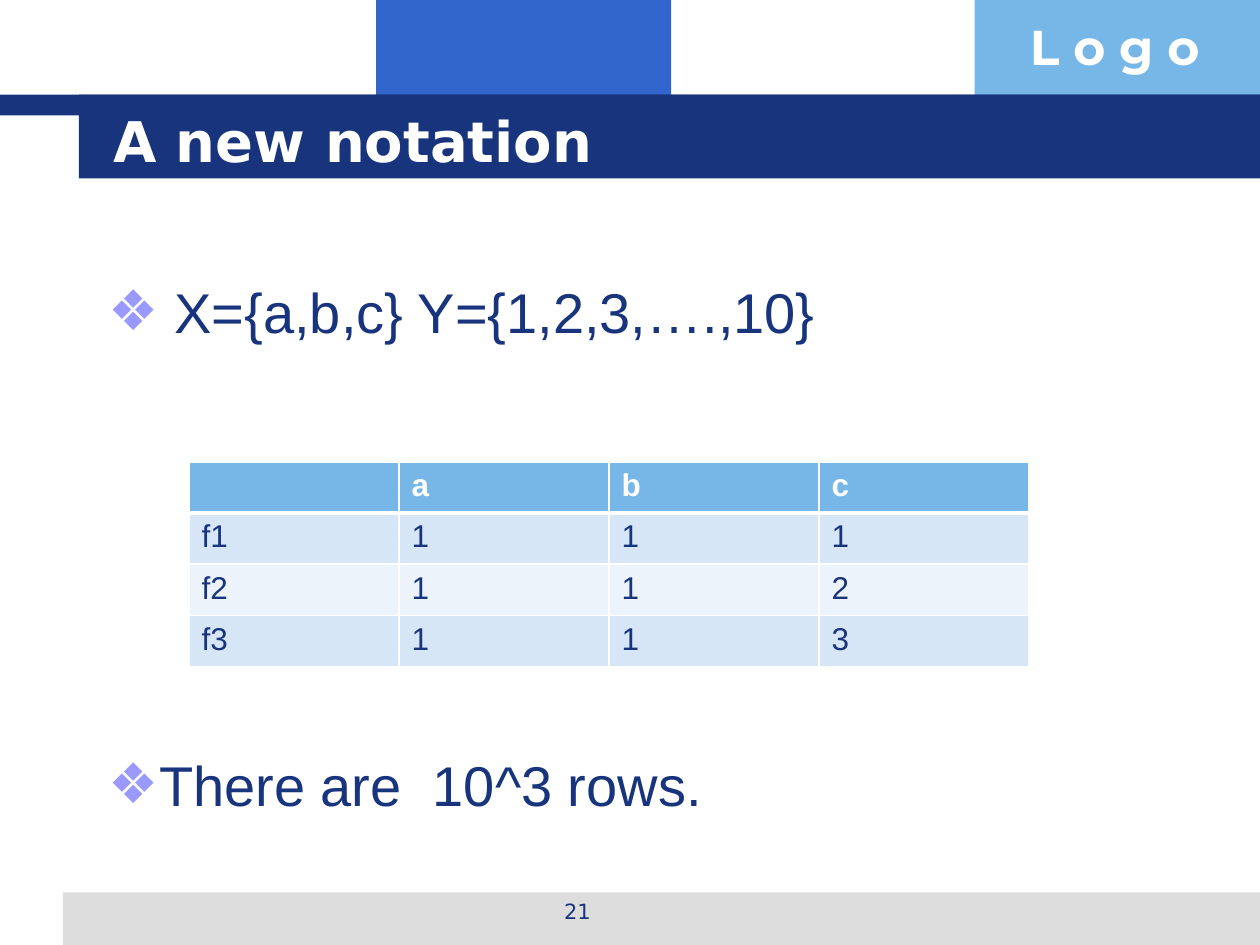
from lxml.etree import SubElement
from pptx import Presentation
from pptx.dml.color import RGBColor
from pptx.enum.shapes import MSO_SHAPE
from pptx.enum.text import MSO_ANCHOR, MSO_AUTO_SIZE, PP_ALIGN
from pptx.oxml.ns import qn
from pptx.util import Pt

NAVY = RGBColor(0x17, 0x34, 0x7D)
BLUE = RGBColor(0x33, 0x66, 0xCC)
SKY = RGBColor(0x77, 0xB7, 0xE7)
GRAY = RGBColor(0xDD, 0xDD, 0xDD)
WHITE = RGBColor(0xFF, 0xFF, 0xFF)
LILAC = RGBColor(0x99, 0x99, 0xFF)
PALE = RGBColor(0xD6, 0xE6, 0xF6)
MIST = RGBColor(0xEC, 0xF3, 0xFA)


def write(para, text, size, color, face, bold=False):
    run = para.add_run()
    run.text = text
    run.font.size = Pt(size)
    run.font.name = face
    run.font.bold = bold
    run.font.color.rgb = color


def edge(cell, side, width):
    line = SubElement(cell._tc.get_or_add_tcPr(), qn(f"a:ln{side}"), w=str(Pt(width)))
    fill = SubElement(line, qn("a:solidFill"))
    SubElement(fill, qn("a:srgbClr"), val=str(WHITE))


deck = Presentation()
deck.slide_width, deck.slide_height = Pt(720), Pt(540)
slide = deck.slides.add_slide(deck.slide_layouts[1])
shapes = slide.shapes
title, body = shapes.title, slide.placeholders[1]

bars = [
    (215, 0, 168.5, 66, BLUE),
    (557, 0, 163, 66, SKY),
    (36, 510, 684, 30, GRAY),
    (0, 54, 720, 12, NAVY),
    (45, 54, 675, 48, NAVY),
]
for left, top, width, height, color in bars:
    bar = shapes.add_shape(MSO_SHAPE.RECTANGLE, Pt(left), Pt(top), Pt(width), Pt(height))
    bar.shadow.inherit = False
    bar.fill.solid()
    bar.fill.fore_color.rgb = color
    bar.line.fill.background()

labels = [
    ("L o g o", 581.5, 6, 138.5, 41, 28, WHITE, "Montserrat", True, PP_ALIGN.LEFT),
    ("21", 246, 510, 168, 25, 12, NAVY, "DejaVu Sans", False, PP_ALIGN.CENTER),
]
for text, left, top, width, height, size, color, face, bold, align in labels:
    box = shapes.add_textbox(Pt(left), Pt(top), Pt(width), Pt(height))
    box.text_frame.word_wrap = True
    para = box.text_frame.paragraphs[0]
    para.alignment = align
    write(para, text, size, color, face, bold)

title.left, title.top, title.width, title.height = Pt(57.5), Pt(57.5), Pt(614), Pt(45)
title.text_frame.auto_size = MSO_AUTO_SIZE.NONE
title.text_frame.vertical_anchor = MSO_ANCHOR.MIDDLE
para = title.text_frame.paragraphs[0]
para.alignment = PP_ALIGN.LEFT
write(para, "A new notation", 32, WHITE, "DejaVu Sans", True)
shapes._spTree.append(title._element)

body.left, body.top, body.width, body.height = Pt(55), Pt(155), Pt(612), Pt(349)
frame = body.text_frame
frame.auto_size = MSO_AUTO_SIZE.NONE
items = [(" X={a,b,c} Y={1,2,3,….,10}", 0), ("There are  10^3 rows.", 232)]
for num, (text, gap) in enumerate(items):
    para = frame.add_paragraph() if num else frame.paragraphs[0]
    para.space_before = Pt(gap)
    props = para._p.get_or_add_pPr()
    props.set("marL", str(Pt(27)))
    props.set("indent", str(-Pt(27)))
    tint = SubElement(props, qn("a:buClr"))
    SubElement(tint, qn("a:srgbClr"), val=str(LILAC))
    SubElement(props, qn("a:buFont"), typeface="DejaVu Sans")
    SubElement(props, qn("a:buChar"), char="❖")
    write(para, text, 32, NAVY, "Arial")
shapes._spTree.append(body._element)

rows = [["", "a", "b", "c"], ["f1", "1", "1", "1"], ["f2", "1", "1", "2"], ["f3", "1", "1", "3"]]
fills = [SKY, PALE, MIST, PALE]
table = shapes.add_table(4, 4, Pt(108), Pt(264), Pt(480), Pt(116.8)).table
for r, row in enumerate(rows):
    table.rows[r].height = Pt(29.2)
    for c, text in enumerate(row):
        cell = table.cell(r, c)
        for side in "LRTB":
            thick = (side, r) in (("B", 0), ("T", 1))
            edge(cell, side, 3 if thick else 1)
        cell.fill.solid()
        cell.fill.fore_color.rgb = fills[r]
        if text:
            color = NAVY if r else WHITE
            write(cell.text_frame.paragraphs[0], text, 18, color, "Arial", r == 0)

deck.save("out.pptx")
